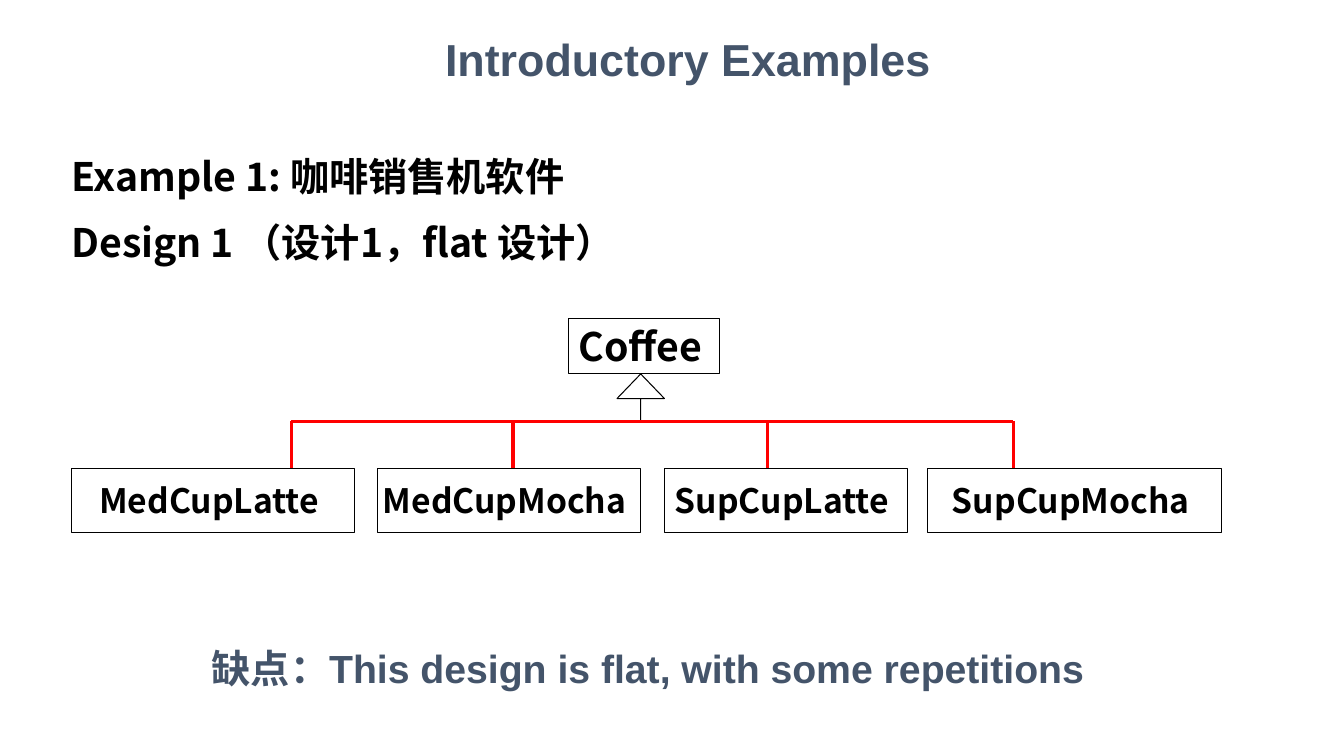
from dataclasses import dataclass

from lxml import etree
from pptx import Presentation
from pptx.dml.color import RGBColor
from pptx.enum import shapes, text
from pptx.oxml.ns import qn
from pptx.util import Inches, Pt

HEADING = "Introductory Examples"
EXAMPLE = "Example 1: 咖啡销售机软件"
DESIGN = "Design 1 （设计1，flat 设计）"
DRAWBACK = "缺点：This design is flat, with some repetitions"
PARENT = ("Coffee", 5.64, 1.5)
# name, left, width, x of the branch
CHILDREN = [
    ("MedCupLatte", 0.71, 2.81, 2.89),
    ("MedCupMocha", 3.74, 2.61, 5.09),
    ("SupCupLatte", 6.59, 2.41, 7.61),
    ("SupCupMocha", 9.2, 2.92, 10.05),
]
PARENT_TOP, PARENT_HEIGHT = 3.16, 0.55
BRANCH_Y = 4.18
CHILD_TOP, CHILD_HEIGHT = 4.65, 0.63
ARROW_LEFT, ARROW_SIZE = 6.12, 0.47


@dataclass(frozen=True)
class Theme:
    latin: str = "Arial"
    cjk: str = "Noto Sans CJK SC"
    ink: RGBColor = RGBColor(0, 0, 0)
    slate: RGBColor = RGBColor(0x44, 0x54, 0x6A)
    paper: RGBColor = RGBColor(255, 255, 255)
    branch: RGBColor = RGBColor(255, 0, 0)
    heading: int = 32
    body: int = 28
    child: int = 24
    outline: float = 0.75
    branch_width: float = 2.5


THEME = Theme()


def write(shape, words, size, font, color, align=text.PP_ALIGN.LEFT,
          anchor=text.MSO_ANCHOR.MIDDLE, wrap=True):
    frame = shape.text_frame
    frame.word_wrap = wrap
    frame.auto_size = text.MSO_AUTO_SIZE.NONE
    frame.vertical_anchor = anchor
    para = frame.paragraphs[0]
    para.alignment = align
    para.line_spacing = 1.0
    para.space_before = Pt(0)
    span = para.add_run()
    span.text = words
    span.font.name = font
    span.font.size = Pt(size)
    span.font.bold = True
    span.font.color.rgb = color
    east_asian = etree.SubElement(span.font._element, qn("a:ea"))
    east_asian.set("typeface", THEME.cjk)


def add_text(slide, area, *args, **kwargs):
    box = slide.shapes.add_textbox(*map(Inches, area))
    write(box, *args, **kwargs)
    return box


def add_outlined(slide, preset, *area):
    shape = slide.shapes.add_shape(preset, *map(Inches, area))
    shape.shadow.inherit = False
    shape.fill.solid()
    shape.fill.fore_color.rgb = THEME.paper
    shape.line.color.rgb = THEME.ink
    shape.line.width = Pt(THEME.outline)
    return shape


def add_class(slide, name, left, top, width, height, size):
    box = add_outlined(slide, shapes.MSO_SHAPE.RECTANGLE, left, top, width, height)
    box.text_frame.margin_right = Inches(0.18)
    write(box, name, size, THEME.cjk, THEME.ink, text.PP_ALIGN.CENTER, wrap=False)


def add_branch(slide, *ends):
    line = slide.shapes.add_connector(
        shapes.MSO_CONNECTOR.STRAIGHT, *map(Inches, ends))
    line.line.color.rgb = THEME.branch
    line.line.width = Pt(THEME.branch_width)
    etree.SubElement(line._element.spPr, qn("a:effectLst"))


def add_hierarchy(slide):
    name, left, width = PARENT
    add_class(slide, name, left, PARENT_TOP, width, PARENT_HEIGHT, THEME.body)

    arrow = add_outlined(slide, shapes.MSO_SHAPE.UP_ARROW, ARROW_LEFT,
                         PARENT_TOP + PARENT_HEIGHT, ARROW_SIZE, ARROW_SIZE)
    arrow.adjustments[0] = 0
    arrow.adjustments[1] = 0.52

    add_branch(slide, CHILDREN[0][-1], BRANCH_Y, CHILDREN[-1][-1], BRANCH_Y)
    for name, left, width, branch_x in CHILDREN:
        add_branch(slide, branch_x, BRANCH_Y, branch_x, CHILD_TOP)
        add_class(slide, name, left, CHILD_TOP, width, CHILD_HEIGHT, THEME.child)


def main():
    deck = Presentation()
    deck.slide_width, deck.slide_height = Inches(13.33), Inches(7.5)
    slide = deck.slides.add_slide(deck.slide_layouts[5])

    title = slide.shapes.title
    title.left, title.top, title.width, title.height = map(
        Inches, (0.61, 1.38, 5.75, 0.73))
    write(title, EXAMPLE, THEME.body, THEME.cjk, THEME.ink)

    add_text(slide, (3.44, 0.28, 6.77, 0.61), HEADING, THEME.heading,
             THEME.latin, THEME.slate, text.PP_ALIGN.CENTER)
    add_text(slide, (0.61, 2.12, 6.14, 0.57), DESIGN, THEME.body,
             THEME.cjk, THEME.ink, anchor=text.MSO_ANCHOR.TOP)
    add_hierarchy(slide)
    drawback = add_text(slide, (2.1, 6.27, 9.29, 0.71), DRAWBACK, THEME.body,
                        THEME.latin, THEME.slate)
    drawback.text_frame.margin_left = drawback.text_frame.margin_right = 0

    deck.save("out.pptx")


if __name__ == "__main__":
    main()
